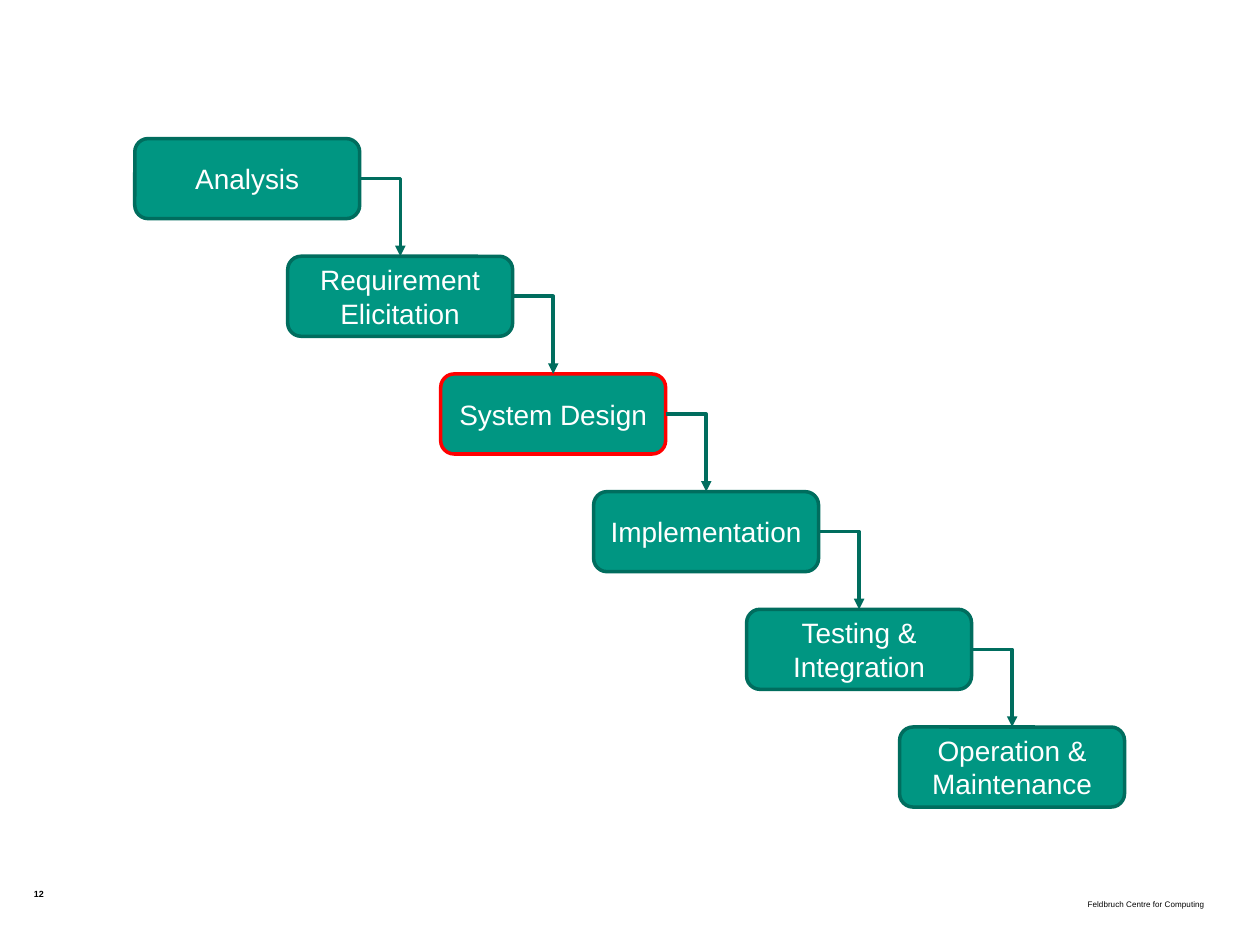
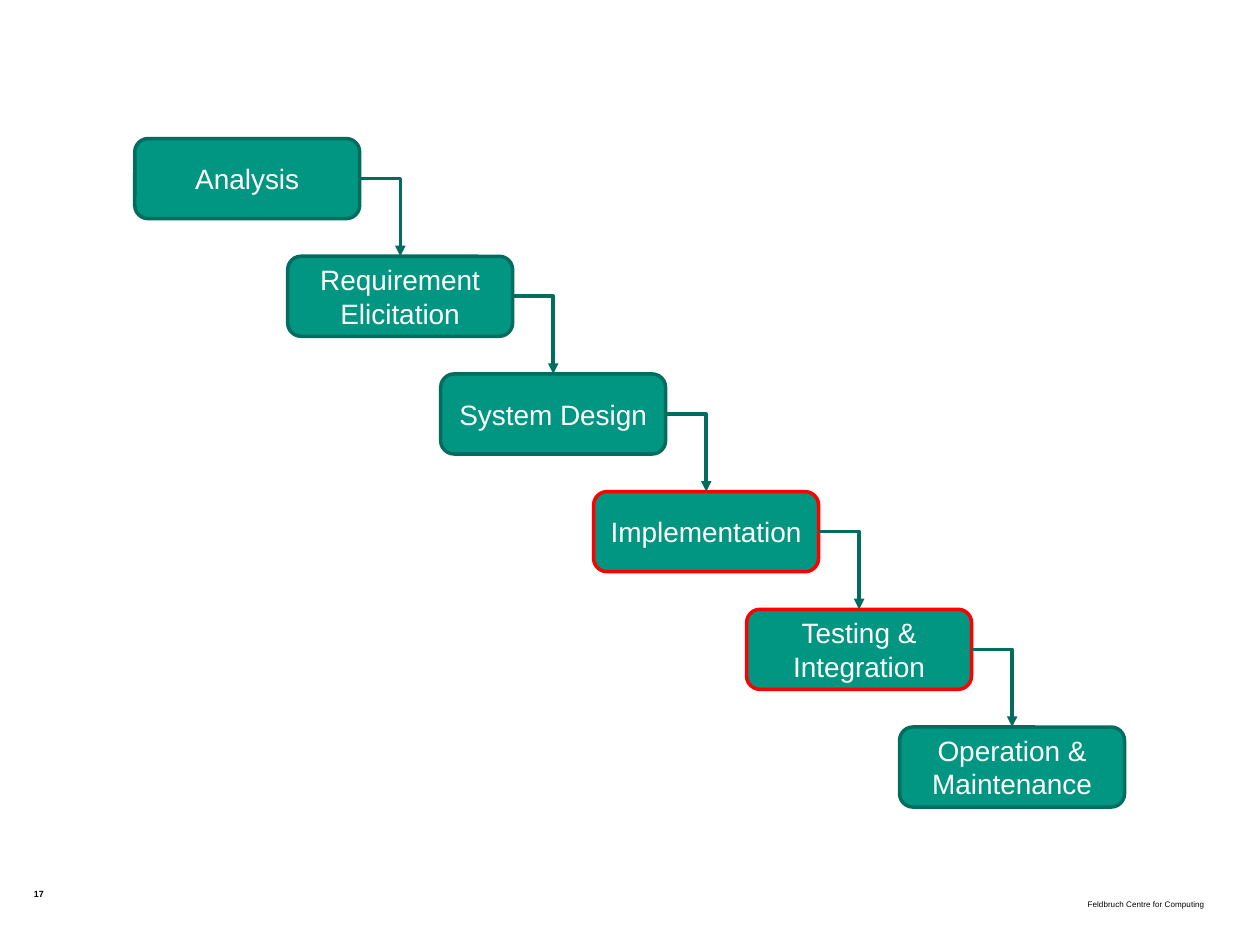
from dataclasses import dataclass

import pptx
import pptx.dml.color
import pptx.enum.shapes
import pptx.enum.text
import pptx.oxml.ns
import pptx.util
from lxml import etree
from pptx.shapes.autoshape import Shape
from pptx.slide import Slide

# Shared look
FONT = "Arial"
GREEN, DARK_GREEN, RED = "009682", "006D5E", "FF0000"
WHITE, BLACK = "FFFFFF", "000000"
LINE_WIDTH = pptx.util.Pt(2)
SLIDE_WIDTH, SLIDE_HEIGHT = 10, 7.5

# Staircase grid in inches: each phase sits one column right, one row down
LEFT, TOP = 1.07, 1.1
COLUMN, ROW = 1.214, 0.934
PHASE_WIDTH, PHASE_HEIGHT = 1.785, 0.635

PHASES = (
    "Analysis",
    "Requirement Elicitation",
    "System Design",
    "Implementation",
    "Testing & Integration",
    "Operation & Maintenance",
)


@dataclass(frozen=True)
class Waterfall:
    page: str
    current: tuple[str, ...]


@dataclass(frozen=True)
class FooterText:
    left: float
    top: float
    width: float
    height: float
    size: float
    bold: bool = False
    align_right: bool = False
    baseline: int = 0


CENTRE = FooterText(6.57, 7.06, 2.99, 0.39, 8, align_right=True, baseline=-25000)
PAGE = FooterText(0.27, 7.05, 0.36, 0.24, 5.1, bold=True)

WATERFALLS = (
    Waterfall("12", ("System Design",)),
    Waterfall("17", ("Implementation", "Testing & Integration")),
)


def rgb(hex_color: str) -> pptx.dml.color.RGBColor:
    return pptx.dml.color.RGBColor.from_string(hex_color)


def inches(*lengths: float) -> list[pptx.util.Length]:
    return [pptx.util.Inches(length) for length in lengths]


def style_font(font: pptx.text.text.Font, size: float, color: str, bold: bool = False) -> None:
    font.name = FONT
    font.size = pptx.util.Pt(size)
    font.bold = bold
    font.color.rgb = rgb(color)


def draw_footer(slide: Slide, text: str, place: FooterText) -> None:
    footer = slide.shapes.add_textbox(*inches(place.left, place.top, place.width, place.height))
    frame = footer.text_frame
    frame.word_wrap = True
    frame.margin_left = frame.margin_right = frame.margin_top = frame.margin_bottom = 0
    frame.text = text
    line = frame.paragraphs[0]
    if place.align_right:
        line.alignment = pptx.enum.text.PP_ALIGN.RIGHT
    font = line.runs[0].font
    style_font(font, place.size, BLACK, place.bold)
    if place.baseline:
        line.runs[0]._r.get_or_add_rPr().set("baseline", str(place.baseline))


def draw_phase(slide: Slide, name: str, step: int, is_current: bool) -> Shape:
    phase = slide.shapes.add_shape(
        pptx.enum.shapes.MSO_SHAPE.ROUNDED_RECTANGLE,
        *inches(LEFT + step * COLUMN, TOP + step * ROW, PHASE_WIDTH, PHASE_HEIGHT),
    )
    phase.shadow.inherit = False
    phase.fill.solid()
    phase.fill.fore_color.rgb = rgb(GREEN)
    phase.line.color.rgb = rgb(RED if is_current else DARK_GREEN)
    phase.line.width = LINE_WIDTH
    frame = phase.text_frame
    frame.word_wrap = True
    frame.vertical_anchor = pptx.enum.text.MSO_ANCHOR.MIDDLE
    frame.text = name
    frame.paragraphs[0].alignment = pptx.enum.text.PP_ALIGN.CENTER
    style_font(frame.paragraphs[0].runs[0].font, 16, WHITE)
    return phase


def draw_arrow(slide: Slide, source: Shape, target: Shape) -> None:
    arrow = slide.shapes.add_connector(pptx.enum.shapes.MSO_CONNECTOR.ELBOW, 0, 0, 0, 0)
    arrow.begin_connect(source, 3)
    arrow.end_connect(target, 0)
    arrow.line.color.rgb = rgb(DARK_GREEN)
    arrow.line.width = LINE_WIDTH
    # One bend, a triangle head and no shadow
    qn = pptx.oxml.ns.qn
    properties = arrow._element.spPr
    properties.find(qn("a:prstGeom")).set("prst", "bentConnector2")
    etree.SubElement(properties.find(qn("a:ln")), qn("a:tailEnd"), type="triangle")
    etree.SubElement(properties, qn("a:effectLst"))


def draw_waterfall(slide: Slide, waterfall: Waterfall) -> None:
    draw_footer(slide, "Feldbruch Centre for Computing", CENTRE)
    draw_footer(slide, waterfall.page, PAGE)
    phases = [
        draw_phase(slide, name, step, name in waterfall.current)
        for step, name in enumerate(PHASES)
    ]
    for source, target in zip(phases, phases[1:]):
        draw_arrow(slide, source, target)


def main() -> None:
    deck = pptx.Presentation()
    deck.slide_width, deck.slide_height = inches(SLIDE_WIDTH, SLIDE_HEIGHT)
    blank = deck.slide_layouts[6]
    for waterfall in WATERFALLS:
        draw_waterfall(deck.slides.add_slide(blank), waterfall)
    deck.save("out.pptx")


if __name__ == "__main__":
    main()
